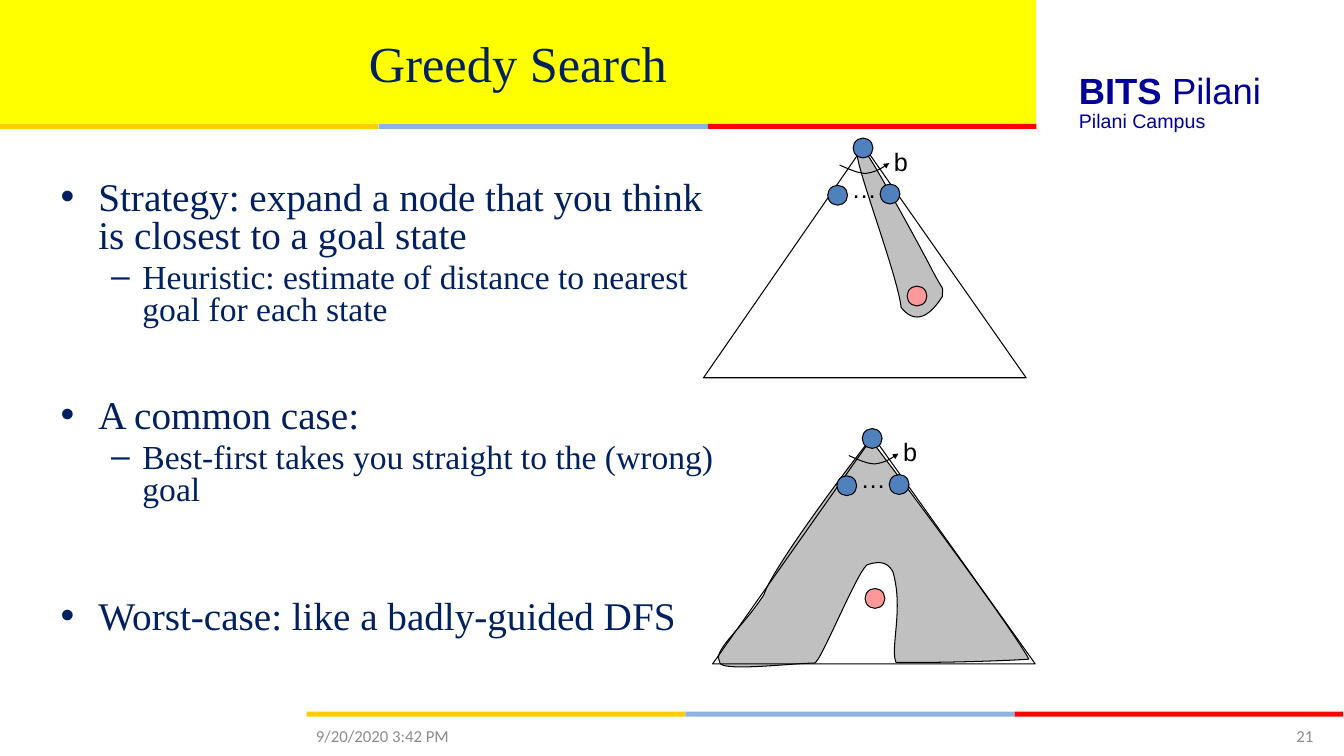
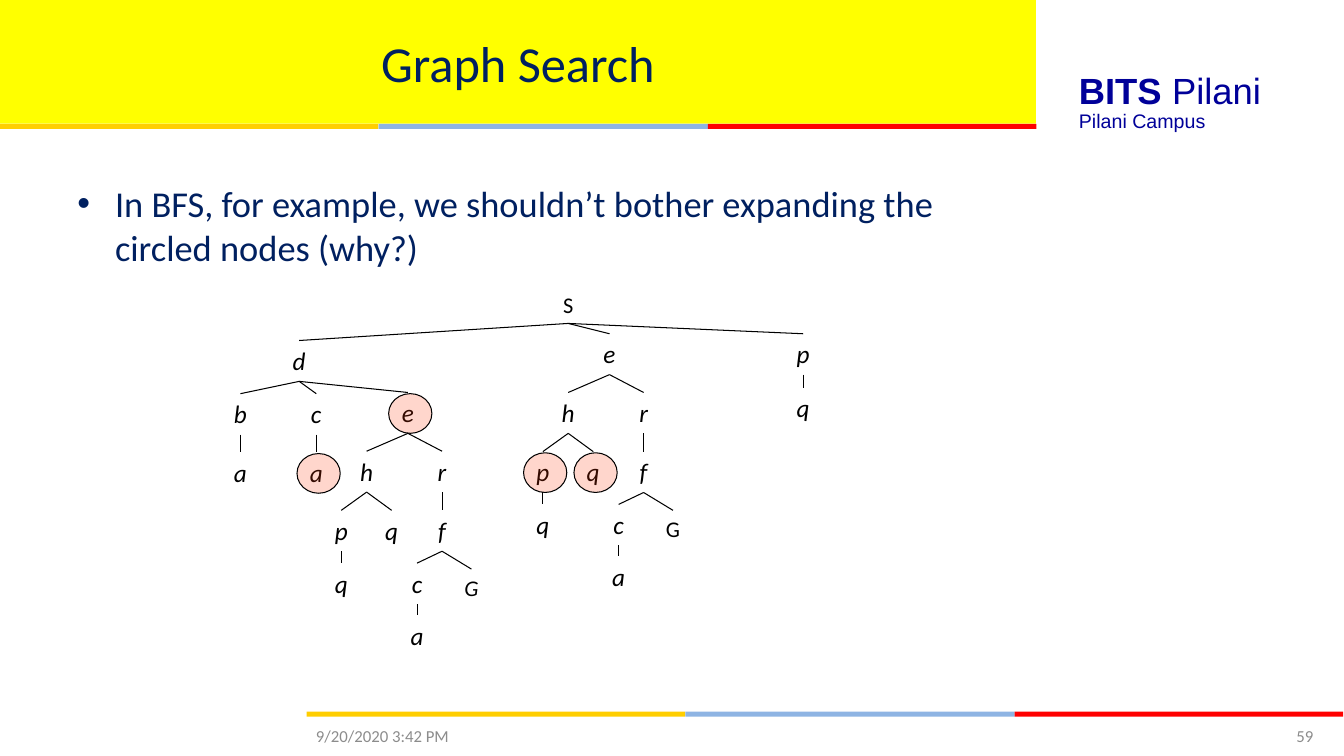
"""Two lecture slides on greedy search and graph search."""
from dataclasses import dataclass, field, replace

from pptx import Presentation
from pptx.dml.color import RGBColor as Rgb
from pptx.enum.shapes import MSO_CONNECTOR as Connector, MSO_SHAPE as Preset
from pptx.enum.text import MSO_ANCHOR as Anchor, PP_ALIGN as Align
from pptx.oxml.ns import qn
from pptx.oxml.xmlchemy import OxmlElement as Element
from pptx.util import Cm, Pt


@dataclass(frozen=True)
class Type:
    font: str
    size: float
    color: str
    bold: bool = False
    italic: bool = False


class Theme:
    yellow, gold, sky, red = "FFFF00", "FFCE00", "8EB4E3", "FF0000"
    ink, explored, node, goal, repeated = "000000", "C0C0C0", "4F81BD", "FF9999", "FF3300"
    stripes = ((gold, 9.54), (sky, 8.3), (red, 8.28))
    title = Type("Calibri", 36, "002060")
    body = Type("Calibri", 26, "002060")
    point = Type("Times New Roman", 28, "002060")
    detail = Type("Times New Roman", 24, "002060")
    campus = Type("Arial", 14, "000099")
    school = Type("Arial", 26, "000099")
    footer = Type("Calibri", 12, "8C8C8C")
    label = Type("Arial", 18, ink)
    state = Type("Calibri", 18, ink, italic=True)
    endpoint = Type("Calibri", 16, ink)
    hairline = 0.75


@dataclass
class State:
    label: str
    x: float
    y: float
    children: list = field(default_factory=list)
    circled: bool = False
    style: Type = Theme.state


class Deck:
    def __init__(self):
        self.show = Presentation()
        self.show.slide_width, self.show.slide_height = Cm(33.87), Cm(19.05)
        self.slide = None

    def open_slide(self, title, number, title_font="Calibri"):
        self.slide = self.show.slides.add_slide(self.show.slide_layouts[6])
        self.shape((0, 0, 26.11, 3.12), Theme.yellow)
        self.stripe(0, 3.12)
        self.stripe(7.73, 17.93)
        self.text((26.94, 1.6, 6.9, 1.37), [
            ("BITS ", replace(Theme.school, bold=True)), ("Pilani", Theme.school)])
        self.text((26.94, 2.61, 6.07, 0.86), [("Pilani Campus", Theme.campus)])
        self.text((0, 0, 26.11, 3.12), [(title, replace(Theme.title, font=title_font))],
                  Align.CENTER, Anchor.MIDDLE)
        self.text((7.71, 18.03, 7.9, 1.02), [("9/20/2020 3:42 PM", Theme.footer)],
                  anchor=Anchor.MIDDLE)
        self.text((29.64, 18.03, 3.71, 1.02), [(number, Theme.footer)],
                  Align.RIGHT, Anchor.MIDDLE)

    def stripe(self, x, y):
        for color, width in Theme.stripes:
            self.shape((x, y, width, 0.13), color)
            x += width

    def paint(self, shape, fill=None, outlined=False):
        shape.shadow.inherit = False
        if fill:
            shape.fill.solid()
            shape.fill.fore_color.rgb = Rgb.from_string(fill)
        else:
            shape.fill.background()
        if outlined:
            self.ink(shape.line)
        else:
            shape.line.fill.background()
        return shape

    def ink(self, line):
        line.color.rgb = Rgb.from_string(Theme.ink)
        line.width = Pt(Theme.hairline)

    def shape(self, place, fill, outlined=False, preset=Preset.RECTANGLE):
        added = self.slide.shapes.add_shape(preset, *map(Cm, place))
        return self.paint(added, fill, outlined)

    def disc(self, x, y, fill, width=0.5, height=0.5):
        return self.shape((x - width / 2, y - height / 2, width, height), fill, True, Preset.OVAL)

    def outline(self, points, fill=None, close=True):
        (x, y), *others = [(Cm(x), Cm(y)) for x, y in points]
        builder = self.slide.shapes.build_freeform(x, y)
        builder.add_line_segments(others, close=close)
        return self.paint(builder.convert_to_shape(), fill, True)

    def curve(self, points, fill=None, close=True):
        drawn = self.outline(points, fill, close)
        route = next(drawn._element.iter(qn("a:path")))
        corners = route.findall(qn("a:lnTo"))[:len(points) - 1]
        for trio in zip(*[iter(corners)] * 3):
            bend = Element("a:cubicBezTo")
            trio[0].addprevious(bend)
            for corner in trio:
                bend.append(corner[0])
                route.remove(corner)
        return drawn

    def frame(self, place, anchor=Anchor.TOP):
        box = self.slide.shapes.add_textbox(*map(Cm, place))
        box.text_frame.word_wrap = True
        box.text_frame.vertical_anchor = anchor
        return box

    def runs(self, paragraph, pieces):
        for words, style in pieces:
            run = paragraph.add_run()
            run.text = words
            font = run.font
            font.name, font.size = style.font, Pt(style.size)
            font.bold, font.italic = style.bold, style.italic
            font.color.rgb = Rgb.from_string(style.color)

    def text(self, place, pieces, align=Align.LEFT, anchor=Anchor.TOP):
        box = self.frame(place, anchor)
        paragraph = box.text_frame.paragraphs[0]
        paragraph.alignment = align
        self.runs(paragraph, pieces)
        return box

    def bullets(self, place, items, spacing=1.0):
        body = self.frame(place).text_frame
        for index, (mark, words, style, before) in enumerate(items):
            paragraph = body.add_paragraph() if index else body.paragraphs[0]
            margin, hang = (0.95, 0.95) if mark == "•" else (2.06, 0.79)
            properties = paragraph._p.get_or_add_pPr()
            properties.set("marL", str(Cm(margin)))
            properties.set("indent", str(-Cm(hang)))
            face, bullet = Element("a:buFont"), Element("a:buChar")
            face.set("typeface", "Arial")
            bullet.set("char", mark)
            properties.extend([face, bullet])
            paragraph.line_spacing = spacing
            paragraph.space_before = Pt(before)
            self.runs(paragraph, [(words, style)])

    def edge(self, parent, child):
        link = self.slide.shapes.add_connector(Connector.STRAIGHT, 0, 0, 0, 0)
        link.begin_connect(parent, 2)
        link.end_connect(child, 0)
        self.ink(link.line)
        link._element.spPr.append(Element("a:effectLst"))

    def state_tree(self, state):
        height = 1.03 if state.style.size == Theme.state.size else 0.94
        box = self.text((state.x - 0.53, state.y, 1.06, height),
                        [(state.label, state.style)], Align.CENTER)
        for child in state.children:
            self.edge(box, self.state_tree(child))
        if state.circled:
            halo = self.disc(state.x + 0.06, state.y + 0.53, Theme.repeated, 1.09, 1)
            alpha = Element("a:alpha")
            alpha.set("val", "20000")
            halo._element.spPr.find(qn("a:solidFill"))[0].append(alpha)
        return box

    def search_cone(self, x, y, depth, goal, explored):
        self.curve(explored, Theme.explored)
        self.outline([(x - 4.04, y + depth), (x + 4.09, y + depth), (x, y)])
        for across, down in ((-0.66, 1.24), (0.66, 1.21), (-0.02, 0.05)):
            self.disc(x + across, y + down, Theme.node)
        self.text((x - 0.56, y + 0.56, 0.76, 1.02), [("…", Theme.label)])
        self.text((x + 0.51, y - 0.12, 0.84, 1.02), [("b", Theme.label)])
        sweep = [(-0.61, 0.48), (-0.38, 0.58), (-0.15, 0.69), (0.05, 0.69),
                 (0.28, 0.66), (0.46, 0.56), (0.64, 0.43)]
        arc = self.curve([(x + across, y + down) for across, down in sweep], close=False)
        tip = Element("a:tailEnd")
        for key, value in (("type", "triangle"), ("w", "sm"), ("len", "sm")):
            tip.set(key, value)
        arc.line._get_or_add_ln().append(tip)
        self.disc(*goal, Theme.goal)


def expansion_of_e(x, y, circled=(), goal_style=Theme.endpoint):
    def state(label, across, down, *children, style=Theme.state):
        return State(label, x + across, y + down, list(children), label in circled, style)

    p = State("p", x - 1.68, y + 2.97, [State("q", x - 1.68, y + 4.3)], "p" in circled)
    c = state("c", 0.23, 4.3, state("a", 0.23, 5.61))
    goal = state("G", 1.6, 4.45, style=goal_style)
    h = state("h", -1.04, 1.48, p, state("q", -0.41, 2.97))
    r = state("r", 0.86, 1.48, state("f", 0.86, 2.97, c, goal))
    return state("e", 0, 0, h, r)


def greedy_search(deck):
    deck.open_slide("Greedy Search", "21", "Times New Roman")
    deck.bullets((1.28, 4.45, 17.4, 13.54), [
        ("•", "Strategy: expand a node that you think is closest to a goal state",
         Theme.point, 0),
        ("–", "Heuristic: estimate of distance to nearest goal for each state",
         Theme.detail, 4.8),
        ("•", "A common case:", Theme.point, 51),
        ("–", "Best-first takes you straight to the (wrong) goal", Theme.detail, 4.8),
        ("•", "Worst-case: like a badly-guided DFS", Theme.point, 66),
    ], 0.8)
    direct = [
        (21.92, 3.99),
        (22.23, 4.47), (23.22, 6.27), (23.52, 6.86),
        (23.83, 7.44), (23.75, 7.16), (23.75, 7.47),
        (23.57, 7.75), (23.16, 8.31), (22.71, 7.75),
        (22.63, 7.01), (21.74, 4.65), (21.62, 4.01),
        (21.49, 3.38), (21.62, 3.51), (21.92, 3.99)]
    misguided = [
        (22.07, 11.25),
        (22.76, 12.14), (25.5, 15.82), (25.93, 16.61),
        (25.6, 16.64), (23.8, 16.71), (22.58, 16.69),
        (22.43, 16.31), (22.78, 15.34), (22.5, 14.4),
        (22.38, 14.2), (22.23, 14.12), (21.89, 14.22),
        (21.69, 14.17), (20.65, 16.79), (20.52, 16.71),
        (19.99, 16.71), (18.14, 16.94), (18.14, 16.69),
        (17.93, 16.41), (18.67, 15.88), (19.25, 14.99),
        (19.46, 14.33), (21.29, 11.89), (21.77, 11.28),
        (22.23, 10.64), (22, 11.25), (22.07, 11.25)]
    deck.search_cone(21.77, 3.68, 5.84, (23.11, 7.46), direct)
    deck.search_cone(22, 11, 5.73, (22.05, 15.08), misguided)


def graph_search(deck):
    deck.open_slide("Graph Search", "59")
    deck.bullets((1.7, 4.45, 24.41, 12.57), [
        ("•", "In BFS, for example, we shouldn’t bother expanding the circled nodes (why?)",
         Theme.body, 0)])
    early_e = expansion_of_e(10.28, 9.89, "e", replace(Theme.endpoint, italic=True))
    later_e = expansion_of_e(15.36, 8.41, "p")
    later_e.children[0].children[1].circled = True
    b = State("b", 6.06, 9.92, [State("a", 6.06, 11.4)])
    c = State("c", 7.97, 9.92, [State("a", 7.97, 11.4, circled=True)])
    d = State("d", 7.54, 8.58, [b, c, early_e])
    p = State("p", 20.24, 8.41, [State("q", 20.24, 9.77)])
    deck.state_tree(State("S", 14.32, 7.21, [d, later_e, p], style=Theme.endpoint))


def main():
    deck = Deck()
    greedy_search(deck)
    graph_search(deck)
    deck.show.save("out.pptx")


if __name__ == "__main__":
    main()
